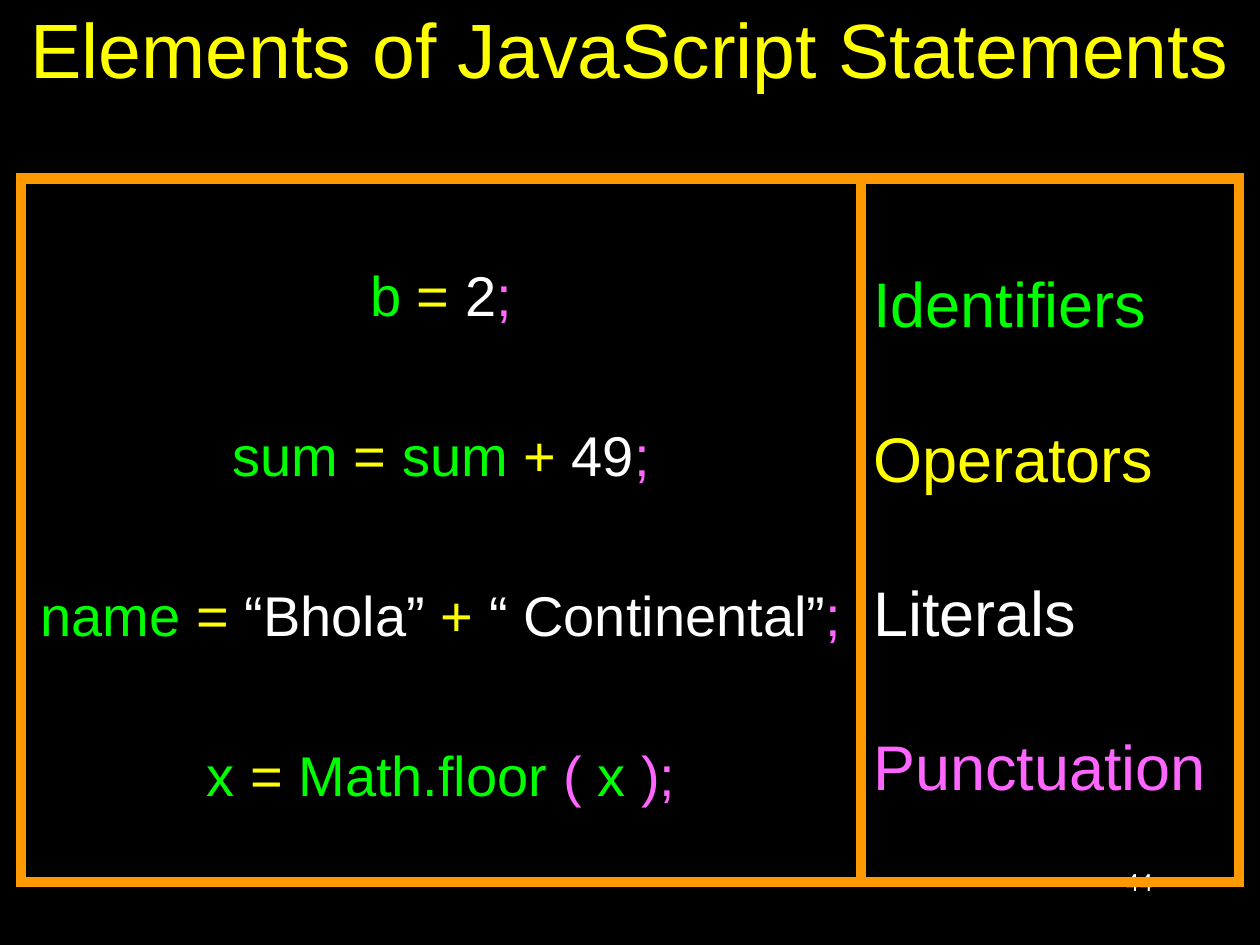
"""Build the slide on the elements of JavaScript statements."""
from lxml import etree
from pptx import Presentation
from pptx.dml.color import RGBColor
from pptx.enum.shapes import MSO_SHAPE
from pptx.enum.text import MSO_ANCHOR, MSO_AUTO_SIZE, PP_ALIGN
from pptx.oxml.ns import qn
from pptx.util import Pt

RECTANGLE = MSO_SHAPE.RECTANGLE
MIDDLE = MSO_ANCHOR.MIDDLE
NO_AUTOFIT = MSO_AUTO_SIZE.NONE
LEFT, CENTER, RIGHT = PP_ALIGN.LEFT, PP_ALIGN.CENTER, PP_ALIGN.RIGHT

GREEN, YELLOW, WHITE, PINK = "00FF00", "FFFF00", "FFFFFF", "FF66FF"
ORANGE, BLACK = "FF9900", "000000"


def color(hex_string):
    return RGBColor.from_string(hex_string)


def write(frame, lines, size, align=LEFT, gap=0, top=3.6):
    """Fill a text frame with lines, each a list of (text, colour) pieces."""
    frame.word_wrap = True
    frame.auto_size = NO_AUTOFIT
    frame.margin_top = Pt(top)
    for number, pieces in enumerate(lines):
        paragraph = frame.add_paragraph() if number else frame.paragraphs[0]
        properties = paragraph._p.get_or_add_pPr()
        properties.set("marL", "0")
        properties.set("indent", "0")
        etree.SubElement(properties, qn("a:buNone"))
        paragraph.alignment = align
        paragraph.line_spacing = 1.0
        paragraph.space_before = Pt(gap if number else 0)
        paragraph.space_after = Pt(0)
        for text, hex_string in pieces:
            run = paragraph.add_run()
            run.text = text
            run.font.name = "Arial"
            run.font.size = Pt(size)
            run.font.color.rgb = color(hex_string)


prs = Presentation()
prs.slide_width, prs.slide_height = Pt(720), Pt(540)
slide = prs.slides.add_slide(prs.slide_layouts[1])
slide.background.fill.solid()
slide.background.fill.fore_color.rgb = color(BLACK)

title, statements = slide.placeholders
title.left, title.top, title.width, title.height = Pt(0), Pt(-18), Pt(720), Pt(90)
title.text_frame.vertical_anchor = MIDDLE
write(title.text_frame, [[("Elements of JavaScript Statements", YELLOW)]], 44, CENTER)

page_number = slide.shapes.add_textbox(Pt(516), Pt(492), Pt(150), Pt(36))
write(page_number.text_frame, [[("44", WHITE)]], 14, RIGHT)
title._element.addprevious(page_number._element)

statements.left, statements.top = Pt(12), Pt(102)
statements.width, statements.height = Pt(480), Pt(402)
legend = slide.shapes.add_shape(RECTANGLE, Pt(492), Pt(102), Pt(216), Pt(402))
legend.shadow.inherit = False

for panel in (statements, legend):
    panel.fill.background()
    panel.line.color.rgb = color(ORANGE)
    panel.line.width = Pt(6)
    etree.SubElement(panel.line._ln, qn("a:miter"), lim="800000")
    panel.text_frame.vertical_anchor = MIDDLE

code_lines = [
    [("b ", GREEN), ("=", YELLOW), (" 2", WHITE), (";", PINK)],
    [("sum ", GREEN), ("= ", YELLOW), ("sum ", GREEN), ("+", YELLOW),
     (" 49", WHITE), (";", PINK)],
    [("name ", GREEN), ("=", YELLOW), (" “Bhola” ", WHITE), ("+", YELLOW),
     (" “ Continental”", WHITE), (";", PINK)],
    [("x ", GREEN), ("= ", YELLOW), ("Math.floor ", GREEN), ("( ", PINK),
     ("x ", GREEN), (");", PINK)],
]
write(statements.text_frame, code_lines, 32, CENTER, gap=53, top=8)

element_kinds = [("Identifiers", GREEN), ("Operators", YELLOW),
                 ("Literals", WHITE), ("Punctuation", PINK)]
write(legend.text_frame, [[kind] for kind in element_kinds], 36, gap=45, top=8)

prs.save("out.pptx")
